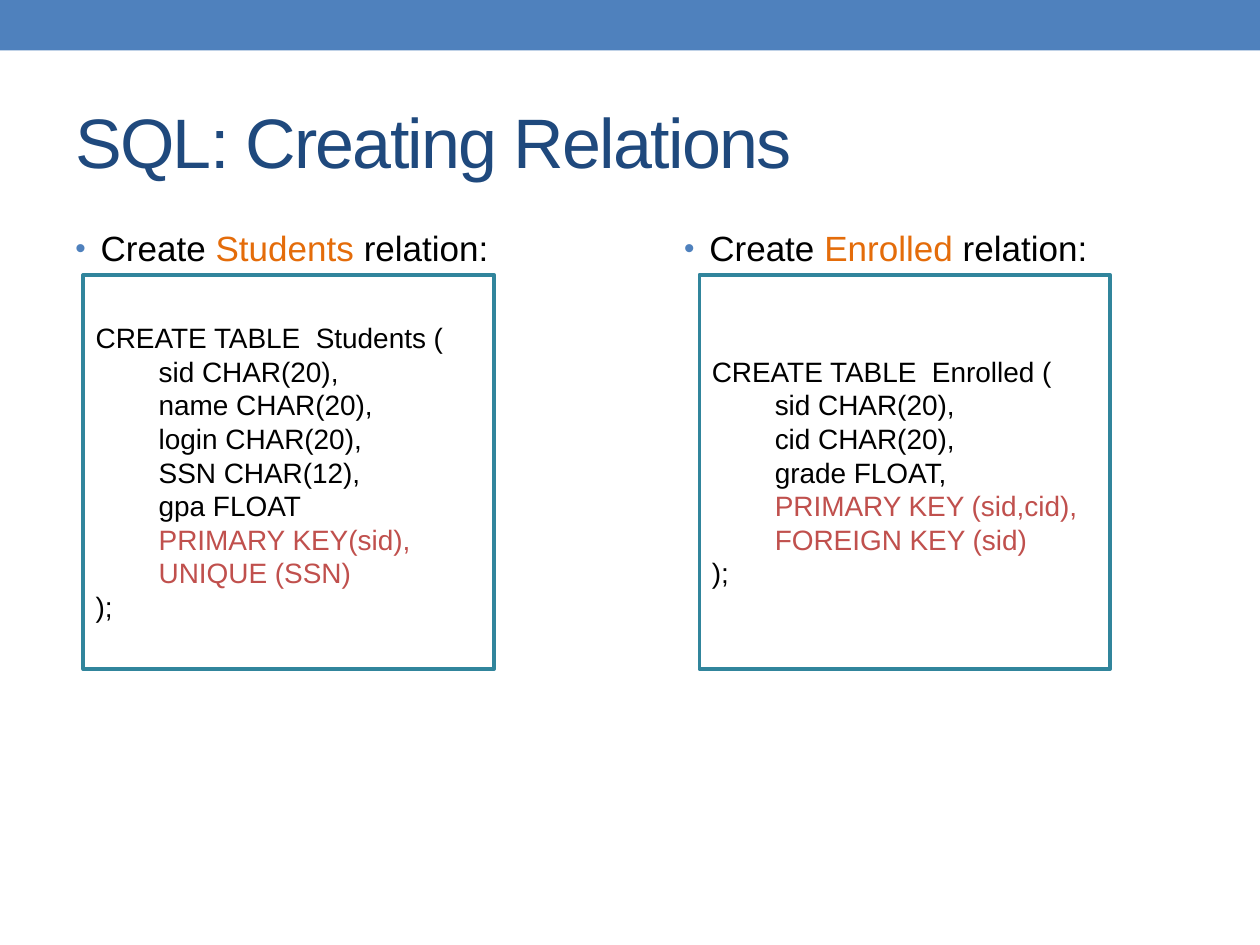
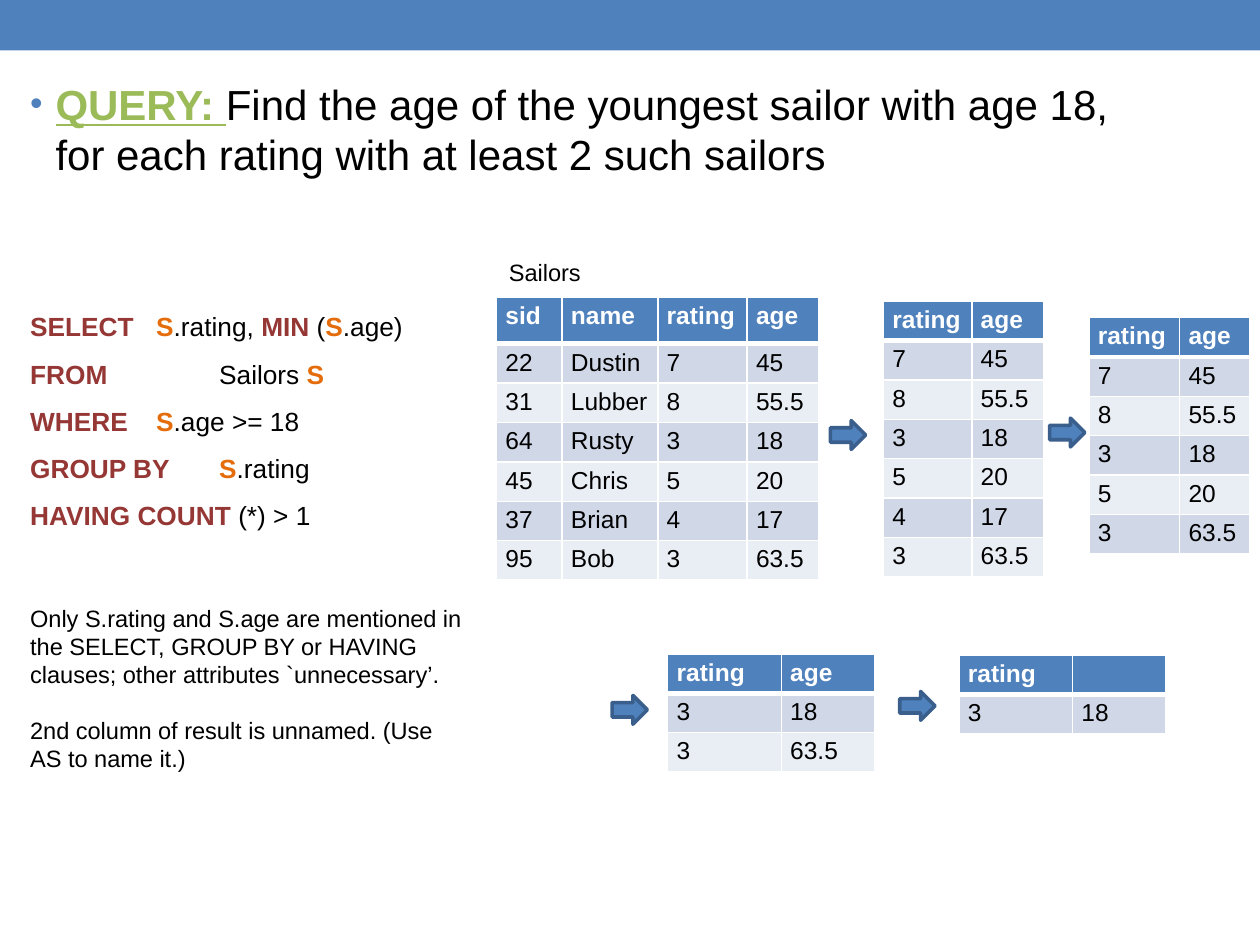
import dataclasses

import pptx
import pptx.dml.color
import pptx.enum.shapes
import pptx.enum.text
import pptx.oxml
import pptx.oxml.ns
import pptx.util

Cm = pptx.util.Cm
Pt = pptx.util.Pt


@dataclasses.dataclass(frozen=True)
class Theme:
    font: str = "Arial"
    blue: str = "4F81BD"
    navy: str = "1F497D"
    arrow_edge: str = "3A5F8C"
    box_edge: str = "31859C"
    white: str = "FFFFFF"
    black: str = "000000"
    orange: str = "E46C0A"
    red: str = "C0504D"
    dark_red: str = "953735"
    green: str = "9BBB59"
    bands: tuple = ("D0D8E8", "E9EDF4")
    title_size: float = 40
    query_size: float = 24
    bullet_size: float = 20
    code_size: float = 16
    sql_size: float = 15
    table_size: float = 14
    note_size: float = 13.5
    outline: float = 2.08


THEME = Theme()

# Run styles: colour, bold, underline
STYLES = {
    "plain": (THEME.black, False, False),
    "title": (THEME.navy, False, False),
    "relation": (THEME.orange, False, False),
    "constraint": (THEME.red, False, False),
    "keyword": (THEME.dark_red, True, False),
    "alias": (THEME.orange, True, False),
    "label": (THEME.green, True, True),
    "header": (THEME.white, True, False),
}

# Slide 1. Each relation: name, bullet left, box left, fields, constraints (cm)
TITLE = "SQL: Creating Relations"
RELATIONS = [
    ("Students", 1.27, 1.68,
     ["sid CHAR(20),", "name CHAR(20),", "login CHAR(20),", "SSN CHAR(12),", "gpa FLOAT"],
     ["PRIMARY KEY(sid),", "UNIQUE (SSN)"]),
    ("Enrolled", 13.54, 14.1,
     ["sid CHAR(20),", "cid CHAR(20),", "grade FLOAT,"],
     ["PRIMARY KEY (sid,cid),", "FOREIGN KEY (sid)"]),
]

# Slide 2
QUERY = [
    ("QUERY: ", "label"),
    ("Find the age of the youngest sailor with age 18, "
     "for each rating with at least 2 such sailors", "plain"),
]
SQL = [
    [("SELECT \t", "keyword"), ("S", "alias"), (".rating, ", "plain"), ("MIN", "keyword"),
     (" (", "plain"), ("S", "alias"), (".age)", "plain")],
    [("FROM", "keyword"), ("\t \tSailors ", "plain"), ("S", "alias")],
    [("WHERE \t", "keyword"), ("S", "alias"), (".age >= 18", "plain")],
    [("GROUP BY \t", "keyword"), ("S", "alias"), (".rating", "plain")],
    [("HAVING COUNT ", "keyword"), ("(*) > 1", "plain")],
]
NOTES = [
    "Only S.rating and S.age are mentioned in the SELECT, GROUP BY or HAVING clauses; "
    "other attributes `unnecessary’.",
    "2nd column of result is unnamed. (Use AS to name it.)",
]
SAILORS = [
    ("22", "Dustin", "7", "45"),
    ("31", "Lubber", "8", "55.5"),
    ("64", "Rusty", "3", "18"),
    ("45", "Chris", "5", "20"),
    ("37", "Brian", "4", "17"),
    ("95", "Bob", "3", "63.5"),
]
PROJECTED = [sailor[2:] for sailor in SAILORS]
ADULTS = [row for row in PROJECTED if float(row[1]) >= 18]
GROUPED = [row for row in ADULTS if [rating for rating, age in ADULTS].count(row[0]) > 1]
RESULT = [min(GROUPED, key=lambda row: float(row[1]))]

# Each table: left, top, column widths, header height (cm), header, rows
TABLES = [
    (10.01, 5.99, (1.32, 1.93, 1.8, 1.45), 0.94, ("sid", "name", "rating", "age"), SAILORS),
    (17.81, 6.07, (1.78, 1.45), 0.78, ("rating", "age"), PROJECTED),
    (21.95, 6.4, (1.83, 1.42), 0.78, ("rating", "age"), ADULTS),
    (13.46, 13.18, (2.29, 1.88), 0.78, ("rating", "age"), GROUPED),
    (19.33, 13.21, (2.29, 1.88), 0.78, ("rating", ""), RESULT),
]
ROW_HEIGHT = 0.78
ARROWS = [(16.74, 8.48), (21.16, 8.43), (12.34, 14.02), (18.14, 13.94)]
TAB_STOPS = (1.27, 2.54, 3.81)


def rgb(colour):
    return pptx.dml.color.RGBColor.from_string(colour)


def add_child(parent, xml):
    """Append an element written with the a: prefix and return it."""
    name, rest = xml.split(" ", 1)
    namespace = pptx.oxml.ns.nsdecls("a")
    parent.append(pptx.oxml.parse_xml(f"<a:{name} {namespace} {rest}"))


def add_runs(paragraph, runs, size):
    for text, style in runs:
        colour, bold, underline = STYLES[style]
        run = paragraph.add_run()
        run.text = text
        run.font.name = THEME.font
        run.font.size = Pt(size)
        run.font.bold = bold
        run.font.underline = underline
        run.font.color.rgb = rgb(colour)


def fill_text(frame, lines, size):
    """Write one paragraph for each list of runs."""
    frame.word_wrap = True
    for index, runs in enumerate(lines):
        paragraph = frame.add_paragraph() if index else frame.paragraphs[0]
        paragraph.alignment = pptx.enum.text.PP_ALIGN.LEFT
        add_runs(paragraph, runs, size)
    return frame


def add_text(slide, box, lines, size):
    shape = slide.shapes.add_textbox(*map(Cm, box))
    return fill_text(shape.text_frame, lines, size)


def add_bullet(slide, box, runs, size):
    paragraph = add_text(slide, box, [runs], size).paragraphs[0]
    properties = paragraph._p.get_or_add_pPr()
    properties.set("marL", str(Cm(0.51)))
    properties.set("indent", str(-Cm(0.51)))
    add_child(properties, f'buClr ><a:srgbClr val="{THEME.blue}"/></a:buClr>')
    add_child(properties, 'buSzPct val="85000"/>')
    add_child(properties, f'buFont typeface="{THEME.font}"/>')
    add_child(properties, 'buChar char="•"/>')


def set_tabs(frame):
    stops = "".join(f'<a:tab pos="{Cm(stop)}" algn="l"/>' for stop in TAB_STOPS)
    for paragraph in frame.paragraphs:
        add_child(paragraph._p.get_or_add_pPr(), f"tabLst >{stops}</a:tabLst>")


def add_preset(slide, preset, box, fill=None, line=None):
    shape = slide.shapes.add_shape(preset, *map(Cm, box))
    shape.shadow.inherit = False
    if fill:
        shape.fill.solid()
        shape.fill.fore_color.rgb = rgb(fill)
    else:
        shape.fill.background()
    if line:
        shape.line.color.rgb = rgb(line)
        shape.line.width = Pt(THEME.outline)
    else:
        shape.line.fill.background()
    return shape


def add_slide(presentation):
    """Add a blank slide with the shared top band."""
    slide = presentation.slides.add_slide(presentation.slide_layouts[6])
    rectangle = pptx.enum.shapes.MSO_SHAPE.RECTANGLE
    add_preset(slide, rectangle, (0, 0, 25.4, 1.02), fill=THEME.blue)
    return slide


def style_cell(cell, text, row):
    properties = cell._tc.get_or_add_tcPr()
    widths = {"L": 1, "R": 1, "T": 3 if row == 1 else 1, "B": 3 if row == 0 else 1}
    for side, width in widths.items():
        add_child(properties, f'ln{side} w="{Pt(width)}"><a:solidFill>'
                  f'<a:srgbClr val="{THEME.white}"/></a:solidFill></a:ln{side}>')
    cell.fill.solid()
    cell.fill.fore_color.rgb = rgb(THEME.bands[(row - 1) % 2] if row else THEME.blue)
    cell.margin_left = cell.margin_right = Cm(0.18)
    cell.margin_top = cell.margin_bottom = Cm(0.1)
    paragraph = cell.text_frame.paragraphs[0]
    if text:
        add_runs(paragraph, [(text, "plain" if row else "header")], THEME.table_size)
    else:
        paragraph.font.size = Pt(THEME.table_size)


def add_rating_table(slide, left, top, widths, header_height, header, rows):
    heights = [header_height] + [ROW_HEIGHT] * len(rows)
    box = (left, top, sum(widths), sum(heights))
    table = slide.shapes.add_table(len(heights), len(widths), *map(Cm, box)).table
    table.horz_banding = False
    for column, width in zip(table.columns, widths):
        column.width = Cm(width)
    for row, values in enumerate([header, *rows]):
        table.rows[row].height = Cm(heights[row])
        for column, text in enumerate(values):
            style_cell(table.cell(row, column), text, row)


def build_relations(presentation):
    slide = add_slide(presentation)
    middle = pptx.enum.text.MSO_ANCHOR.MIDDLE
    title = add_text(slide, (1.27, 1.47, 22.86, 2.74), [[(TITLE, "title")]], THEME.title_size)
    title.vertical_anchor = middle
    title.paragraphs[0].runs[0]._r.get_or_add_rPr().set("spc", "-100")

    for name, bullet_left, box_left, fields, constraints in RELATIONS:
        bullet = [("Create ", "plain"), (name, "relation"), (" relation:", "plain")]
        add_bullet(slide, (bullet_left, 4.45, 9.35, 13.54), bullet, THEME.bullet_size)
        lines = [[(f"CREATE TABLE  {name} (", "plain")]]
        lines += [[("\t" + field, "plain")] for field in fields]
        lines += [[("\t" + constraint, "constraint")] for constraint in constraints]
        lines += [[(");", "plain")]]
        rectangle = pptx.enum.shapes.MSO_SHAPE.RECTANGLE
        box = add_preset(slide, rectangle, (box_left, 5.54, 8.28, 7.95), line=THEME.box_edge)
        frame = fill_text(box.text_frame, lines, THEME.code_size)
        frame.vertical_anchor = middle
        set_tabs(frame)


def build_query(presentation):
    slide = add_slide(presentation)
    add_bullet(slide, (0.36, 1.45, 22.86, 10.16), QUERY, THEME.query_size)

    sql = add_text(slide, (0.36, 5.82, 12.7, 5.05), SQL, THEME.sql_size)
    for paragraph in sql.paragraphs:
        paragraph.line_spacing = 1.5
    set_tabs(sql)

    note_lines = [[(note, "plain")] for note in NOTES]
    notes = add_text(slide, (0.36, 12.04, 9.25, 3.71), note_lines, THEME.note_size)
    notes.paragraphs[1].space_before = Pt(15.5)

    add_text(slide, (10.01, 5.08, 2.36, 0.84), [[("Sailors", "plain")]], THEME.note_size)
    for table in TABLES:
        add_rating_table(slide, *table)
    for left, top in ARROWS:
        add_preset(slide, pptx.enum.shapes.MSO_SHAPE.RIGHT_ARROW, (left, top, 0.71, 0.58),
                   fill=THEME.blue, line=THEME.arrow_edge)


def main():
    presentation = pptx.Presentation()
    presentation.slide_width = Cm(25.4)
    presentation.slide_height = Cm(19.05)
    build_relations(presentation)
    build_query(presentation)
    presentation.save("out.pptx")


if __name__ == "__main__":
    main()
